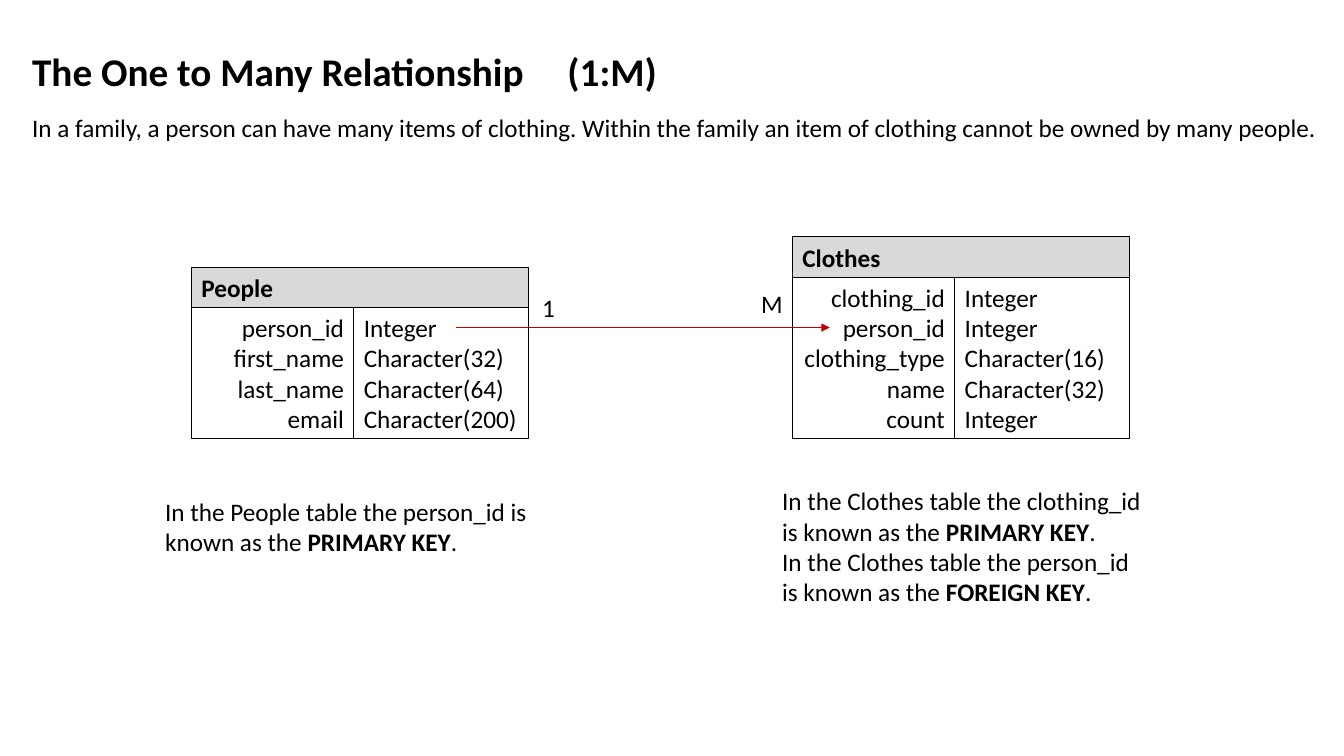
from dataclasses import dataclass

from lxml import etree
from pptx import Presentation
from pptx.dml.color import RGBColor as RGB
from pptx.enum.shapes import MSO_CONNECTOR as Connector, MSO_SHAPE as Shape
from pptx.enum.text import MSO_ANCHOR as Anchor, MSO_AUTO_SIZE as AutoSize, PP_ALIGN as Align
from pptx.oxml import parse_xml
from pptx.oxml.ns import nsdecls, qn
from pptx.util import Inches, Pt


@dataclass(frozen=True)
class Theme:
    font: str = "Calibri"
    title_size: int = 28
    body_size: int = 18
    ink: RGB = RGB(0x00, 0x00, 0x00)
    header: RGB = RGB(0xD9, 0xD9, 0xD9)
    arrow: RGB = RGB(0xC0, 0x00, 0x00)
    border: float = 0.75
    arrow_width: float = 1


THEME = Theme()

TITLE = "The One to Many Relationship\t(1:M)"
TITLE_TAB = 5.31
INTRO = (
    "In a family, a person can have many items of clothing. "
    "Within the family an item of clothing cannot be owned by many people."
)
ENTITIES = [
    {
        "name": "People", "left": 1.9, "top": 2.65,
        "fields": [
            ("person_id", "Integer"),
            ("first_name", "Character(32)"),
            ("last_name", "Character(64)"),
            ("email", "Character(200)"),
        ],
    },
    {
        "name": "Clothes", "left": 7.86, "top": 2.35,
        "fields": [
            ("clothing_id", "Integer"),
            ("person_id", "Integer"),
            ("clothing_type", "Character(16)"),
            ("name", "Character(32)"),
            ("count", "Integer"),
        ],
    },
]
CARDINALITIES = [("1", (5.28, 2.85, 0.33, 0.4)), ("M", (7.45, 2.81, 0.42, 0.4))]
KEY_NOTES = [
    ((1.54, 4.87, 4.07, 0.71), [
        [("In the People table the person_id is known as the ", False), ("PRIMARY KEY", True), (".", False)],
    ]),
    ((7.66, 4.77, 3.84, 1.31), [
        [("In the Clothes table the clothing_id is known as the ", False), ("PRIMARY KEY", True), (".", False)],
        [("In the Clothes table the person_id is known as the ", False), ("FOREIGN KEY", True), (".", False)],
    ]),
]
KEY_LINK = (4.52, 8.23, 3.25)

NAME_WIDTH, TYPE_WIDTH = 1.61, 1.73
HEADER_HEIGHT, ROW_HEIGHT, ROWS_PADDING = 0.4, 0.3, 0.1

prs = Presentation()
prs.slide_width, prs.slide_height = Inches(13.33), Inches(7.5)
slide = prs.slides.add_slide(prs.slide_layouts[6])


def add_text(paragraphs, box, *, size=THEME.body_size, bold=False, align=Align.LEFT,
             boxed=False, fill=None, wrap=True, right_inset=0.1):
    frame = [Inches(length) for length in box]
    if boxed:
        holder = slide.shapes.add_shape(Shape.RECTANGLE, *frame)
        holder.shadow.inherit = False
        holder.line.color.rgb = THEME.ink
        holder.line.width = Pt(THEME.border)
        if fill is None:
            holder.fill.background()
        else:
            holder.fill.solid()
            holder.fill.fore_color.rgb = fill
    else:
        holder = slide.shapes.add_textbox(*frame)
    body = holder.text_frame
    body.word_wrap = wrap
    body.auto_size = AutoSize.SHAPE_TO_FIT_TEXT
    body.vertical_anchor = Anchor.TOP
    body.margin_right = Inches(right_inset)
    if isinstance(paragraphs, str):
        paragraphs = [paragraphs]
    for index, content in enumerate(paragraphs):
        paragraph = body.add_paragraph() if index else body.paragraphs[0]
        paragraph.alignment = align
        pieces = [(content, bold)] if isinstance(content, str) else content
        for words, strong in pieces:
            run = paragraph.add_run()
            run.text = words
            run.font.name = THEME.font
            run.font.size = Pt(size)
            run.font.bold = strong
            run.font.color.rgb = THEME.ink
    return holder


def add_entity(name, left, top, fields):
    names, types = zip(*fields)
    rows_top = top + HEADER_HEIGHT
    rows_height = len(fields) * ROW_HEIGHT + ROWS_PADDING
    add_text(names, (left, rows_top, NAME_WIDTH, rows_height), align=Align.RIGHT, boxed=True)
    add_text(types, (left + NAME_WIDTH, rows_top, TYPE_WIDTH, rows_height),
             boxed=True, right_inset=0.05)
    add_text(name, (left, top, NAME_WIDTH + TYPE_WIDTH, HEADER_HEIGHT),
             bold=True, boxed=True, fill=THEME.header)


def add_key_link(start, end, y):
    link = slide.shapes.add_connector(
        Connector.STRAIGHT, Inches(start), Inches(y), Inches(end), Inches(y))
    link.line.color.rgb = THEME.arrow
    link.line.width = Pt(THEME.arrow_width)
    etree.SubElement(link.line._get_or_add_ln(), qn("a:tailEnd"), type="triangle")
    etree.SubElement(link._element.spPr, qn("a:effectLst"))


for entity in ENTITIES:
    add_entity(**entity)
for cardinality, box in CARDINALITIES:
    add_text(cardinality, box, wrap=False)

title = add_text(TITLE, (0.22, 0.42, 6.48, 0.57), size=THEME.title_size, bold=True)
title.text_frame.paragraphs[0]._p.get_or_add_pPr().append(parse_xml(
    f'<a:tabLst {nsdecls("a")}><a:tab pos="{Inches(TITLE_TAB)}" algn="l"/></a:tabLst>'))
add_text(INTRO, (0.22, 1.07, 13.36, 0.4))

add_key_link(*KEY_LINK)
for box, note in KEY_NOTES:
    add_text(note, box)

prs.save("out.pptx")
